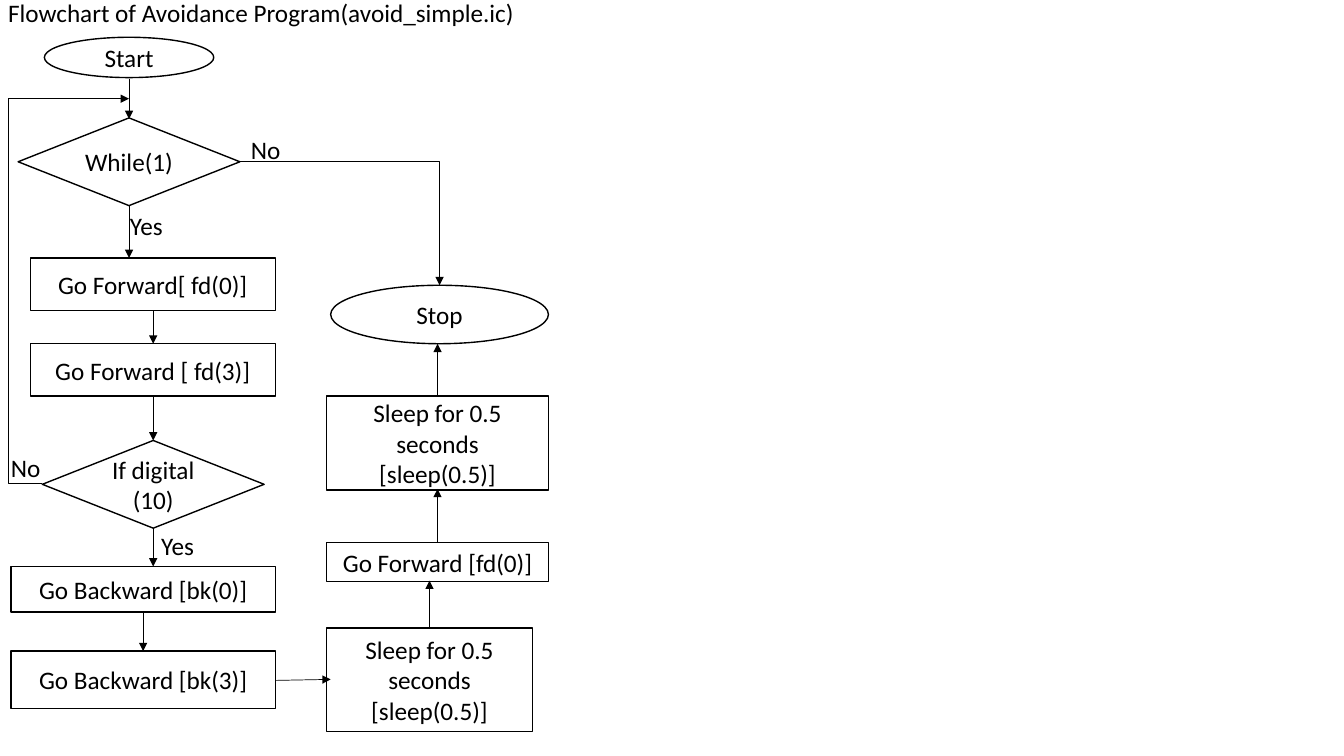
import pptx
import pptx.util
import pptx.dml.color
import pptx.enum.shapes
import pptx.enum.text
import pptx.oxml.ns
import lxml.etree

Inches = pptx.util.Inches
Pt = pptx.util.Pt
SHAPE = pptx.enum.shapes.MSO_SHAPE
CONNECTOR = pptx.enum.shapes.MSO_CONNECTOR
ALIGN = pptx.enum.text.PP_ALIGN
ANCHOR = pptx.enum.text.MSO_ANCHOR
COLORS = {"ink": "000000", "paper": "FFFFFF"}


class Flowchart:
    """Holds the text and line style and the slide being drawn."""

    def __init__(self, slide):
        self.slide = slide
        self.font = "Calibri"
        self.size = Pt(18)

    def color(self, name):
        return pptx.dml.color.RGBColor.from_string(COLORS[name])

    def set_text(self, shape, text, align, anchor, wrap):
        frame = shape.text_frame
        frame.word_wrap = wrap
        frame.vertical_anchor = anchor
        para = frame.paragraphs[0]
        para.alignment = align
        span = para.add_run()
        span.text = text
        span.font.name = self.font
        span.font.size = self.size
        span.font.color.rgb = self.color("ink")

    def set_label(self, box, text):
        self.set_text(box, text, ALIGN.LEFT, ANCHOR.TOP, False)
        box.text_frame.auto_size = pptx.enum.text.MSO_AUTO_SIZE.SHAPE_TO_FIT_TEXT

    def title(self, text, left, top, width, height):
        box = self.slide.shapes.title
        box.left, box.top = Inches(left), Inches(top)
        box.width, box.height = Inches(width), Inches(height)
        self.set_label(box, text)

    def label(self, text, left, top, width, height=0.4):
        box = self.slide.shapes.add_textbox(
            Inches(left), Inches(top), Inches(width), Inches(height))
        self.set_label(box, text)

    def step(self, kind, text, left, top, width, height):
        shape = self.slide.shapes.add_shape(
            kind, Inches(left), Inches(top), Inches(width), Inches(height))
        shape.shadow.inherit = False
        shape.fill.solid()
        shape.fill.fore_color.rgb = self.color("paper")
        shape.line.color.rgb = self.color("ink")
        shape.line.width = Pt(1)
        self.set_text(shape, text, ALIGN.CENTER, ANCHOR.MIDDLE, True)

    def arrow(self, x1, y1, x2, y2, kind=CONNECTOR.STRAIGHT):
        line = self.slide.shapes.add_connector(
            kind, Inches(x1), Inches(y1), Inches(x2), Inches(y2))
        line.line.color.rgb = self.color("ink")
        line.line.width = Pt(0.5)
        qn = pptx.oxml.ns.qn
        properties = line._element.spPr
        lxml.etree.SubElement(properties.find(qn("a:ln")), qn("a:tailEnd"), type="triangle")
        lxml.etree.SubElement(properties, qn("a:effectLst"))
        return line

    def bent_arrow(self, x1, y1, x2, y2, preset, adjustments=()):
        """Draw an elbow arrow; adjustments are fractions of its width and height."""
        line = self.arrow(x1, y1, x2, y2, CONNECTOR.ELBOW)
        qn = pptx.oxml.ns.qn
        geometry = line._element.spPr.find(qn("a:prstGeom"))
        geometry.set("prst", preset)
        guides = geometry.find(qn("a:avLst"))
        if guides is None:
            guides = lxml.etree.SubElement(geometry, qn("a:avLst"))
        for number, value in enumerate(adjustments, 1):
            lxml.etree.SubElement(guides, qn("a:gd"), name=f"adj{number}",
                                  fmla=f"val {round(value * 100000)}")


STEPS = [
    (SHAPE.OVAL, "Start", 0.44, 0.37, 1.68, 0.4),
    (SHAPE.DIAMOND, "While(1)", 0.18, 1.17, 2.2, 0.87),
    (SHAPE.FLOWCHART_PROCESS, "Go Forward[ fd(0)]", 0.3, 2.56, 2.43, 0.52),
    (SHAPE.FLOWCHART_PROCESS, "Go Forward [ fd(3)]", 0.3, 3.41, 2.43, 0.52),
    (SHAPE.DIAMOND, "If digital (10)", 0.42, 4.37, 2.2, 0.87),
    (SHAPE.FLOWCHART_PROCESS, "Go Backward [bk(0)]", 0.11, 5.62, 2.62, 0.45),
    (SHAPE.FLOWCHART_PROCESS, "Go Backward [bk(3)]", 0.11, 6.46, 2.62, 0.57),
    (SHAPE.FLOWCHART_PROCESS, "Sleep for 0.5 seconds [sleep(0.5)]", 3.24, 6.23, 2.04, 1.03),
    (SHAPE.FLOWCHART_PROCESS, "Go Forward [fd(0)]", 3.24, 5.38, 2.2, 0.39),
    (SHAPE.FLOWCHART_PROCESS, "Sleep for 0.5 seconds [sleep(0.5)]", 3.24, 3.93, 2.2, 0.93),
    (SHAPE.OVAL, "Stop", 3.28, 2.83, 2.16, 0.58),
]
# Vertical arrows: x, start y, end y
DROPS = [
    (1.28, 0.78, 1.18), (1.28, 2.04, 2.56), (1.52, 3.08, 3.41),
    (1.52, 3.93, 4.37), (1.52, 5.24, 5.62), (1.42, 6.08, 6.46),
    (4.26, 6.23, 5.76), (4.34, 5.38, 4.85), (4.34, 3.93, 3.41),
]
LABELS = [
    ("Yes", 1.19, 2.04, 0.53), ("No", 0.01, 4.44, 0.5),
    ("Yes", 1.5, 5.21, 0.53), ("No", 2.39, 1.28, 0.5),
]


def main():
    deck = pptx.Presentation()
    deck.slide_width, deck.slide_height = Inches(13.33), Inches(7.5)
    title_only = deck.slide_layouts[5]
    chart = Flowchart(deck.slides.add_slide(title_only))

    chart.title("Flowchart of Avoidance Program(avoid_simple.ic)", -0.02, -0.08, 5.27, 0.4)
    for step in STEPS:
        chart.step(*step)
    for x, start, end in DROPS:
        chart.arrow(x, start, x, end)
    chart.arrow(2.73, 6.75, 3.28, 6.74)
    chart.bent_arrow(0.42, 4.8, 1.28, 0.98, "bentConnector4", (-0.39, 1))
    chart.bent_arrow(2.38, 1.6, 4.36, 2.83, "bentConnector2")
    for label in LABELS:
        chart.label(*label)

    deck.save("out.pptx")


if __name__ == "__main__":
    main()
